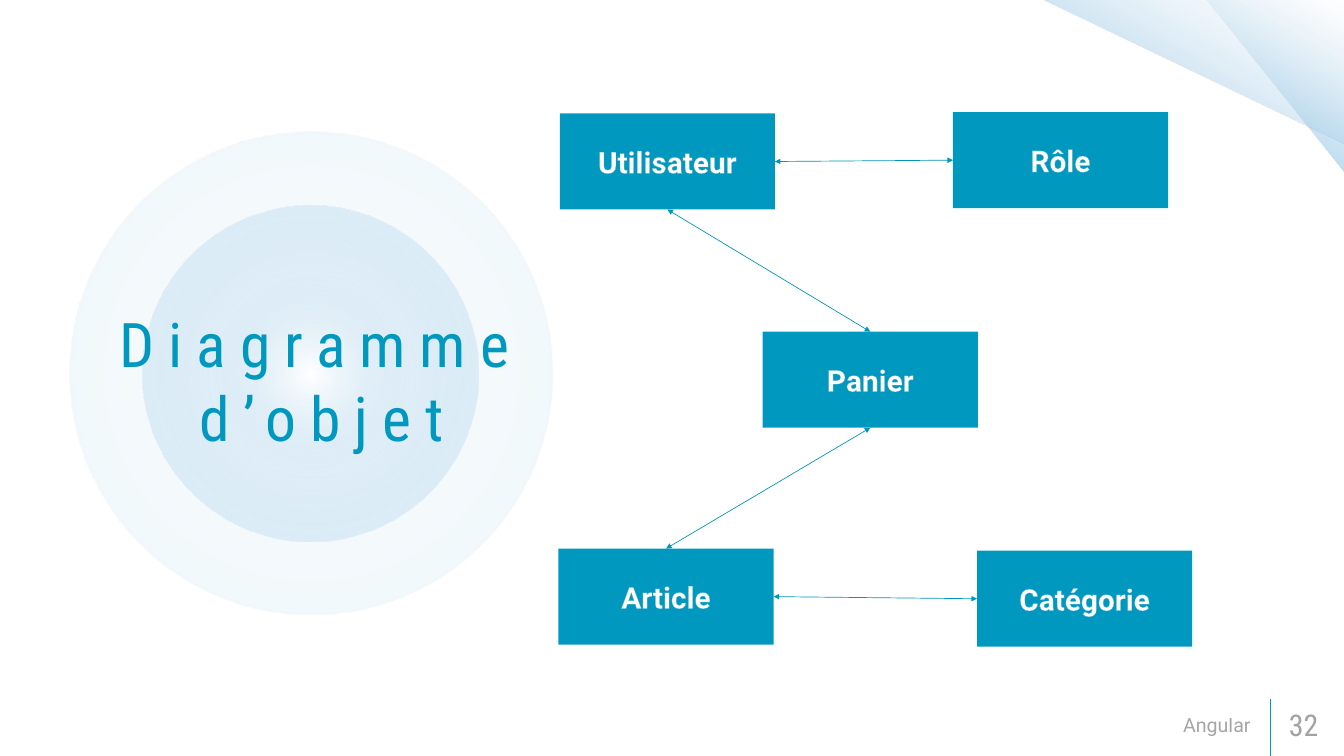
from lxml import etree
from pptx import Presentation
from pptx.dml.color import RGBColor
from pptx.enum.shapes import MSO_CONNECTOR, MSO_SHAPE
from pptx.enum.text import MSO_ANCHOR, MSO_AUTO_SIZE, PP_ALIGN
from pptx.oxml import parse_xml
from pptx.oxml.ns import nsdecls, qn
from pptx.util import Cm, Pt

STRAIGHT = MSO_CONNECTOR.STRAIGHT
RECTANGLE, OVAL = MSO_SHAPE.RECTANGLE, MSO_SHAPE.OVAL
RIGHT_TRIANGLE = MSO_SHAPE.RIGHT_TRIANGLE
MIDDLE, NO_AUTOFIT = MSO_ANCHOR.MIDDLE, MSO_AUTO_SIZE.NONE
LEFT, CENTER, RIGHT = PP_ALIGN.LEFT, PP_ALIGN.CENTER, PP_ALIGN.RIGHT
TOP_SIDE, LEFT_SIDE, BOTTOM_SIDE, RIGHT_SIDE = range(4)

BLUE, LINK_BLUE = "0098BF", "0095BB"
LINEAR = '<a:lin ang="7200000" scaled="0"/>'
RADIAL = ('<a:path path="circle"><a:fillToRect l="50000" t="50000" '
          'r="50000" b="50000"/></a:path>')
# Gradient stops: position %, colour, opacity %
CORNER_STOPS = [(0, "8FC8E8", 100), (50, "A4CEE9", 44), (100, "DEEDF6", 0)]
OUTER_STOPS = [(0, "FFFFFF", 100), (50, "BCDBEF", 14), (100, "8FC8E8", 15)]
INNER_STOPS = [(0, "FFFFFF", 100), (42, "BCDBEF", 24), (100, "8FC8E8", 38)]

NODE_WIDTH, NODE_HEIGHT = 8.13, 3.63
NODES = {  # left and top within the diagram
    "Utilisateur": (0.05, 0.05),
    "Rôle": (14.91, 0),
    "Panier": (7.72, 8.3),
    "Article": (0, 16.5),
    "Catégorie": (15.82, 16.58),
}
LINKS = [
    ("Utilisateur", RIGHT_SIDE, "Rôle", LEFT_SIDE),
    ("Utilisateur", BOTTOM_SIDE, "Panier", TOP_SIDE),
    ("Panier", BOTTOM_SIDE, "Article", TOP_SIDE),
    ("Article", RIGHT_SIDE, "Catégorie", LEFT_SIDE),
]


def color(value):
    return RGBColor.from_string(value)


def write(shape, text, font, size, fill, align):
    """Set one vertically centred paragraph and return its run."""
    frame = shape.text_frame
    frame.text = text
    frame.word_wrap = True
    frame.auto_size = NO_AUTOFIT
    frame.vertical_anchor = MIDDLE
    paragraph = frame.paragraphs[0]
    paragraph.alignment = align
    run = paragraph.runs[0]
    run.font.name = font
    run.font.size = Pt(size)
    run.font.color.rgb = color(fill)
    return run


def add_plain_shape(slide, kind, left, top, width, height):
    shape = slide.shapes.add_shape(kind, Cm(left), Cm(top), Cm(width), Cm(height))
    shape.shadow.inherit = False
    shape.line.fill.background()
    return shape


def add_gradient_shape(slide, kind, box, stops, direction):
    shape = add_plain_shape(slide, kind, *box)
    stop_xml = "".join(
        f'<a:gs pos="{position * 1000}"><a:srgbClr val="{value}">'
        f'<a:alpha val="{opacity * 1000}"/></a:srgbClr></a:gs>'
        for position, value, opacity in stops)
    shape.element.spPr.find(qn("a:prstGeom")).addnext(parse_xml(
        f'<a:gradFill {nsdecls("a")} rotWithShape="1"><a:gsLst>{stop_xml}</a:gsLst>'
        f'{direction}</a:gradFill>'))
    return shape


def add_line(slide, start, end, value, width):
    line = slide.shapes.add_connector(STRAIGHT, *(Cm(n) for n in (*start, *end)))
    line.line.color.rgb = color(value)
    line.line.width = Pt(width)
    etree.SubElement(line.element.spPr, qn("a:effectLst"))
    return line


def add_corner(slide, right):
    """Two translucent triangles meeting at the top right corner."""
    for width, height in ((5.18, 6.53), (11.38, 5.41)):
        box = (right - width, 0, width, height)
        triangle = add_gradient_shape(slide, RIGHT_TRIANGLE, box, CORNER_STOPS, LINEAR)
        triangle.rotation = 180


def add_title_disc(slide, center_x, center_y):
    """Two concentric discs with the title over them."""
    for diameter, stops in ((18.26, OUTER_STOPS), (12.7, INNER_STOPS)):
        box = (center_x - diameter / 2, center_y - diameter / 2, diameter, diameter)
        add_gradient_shape(slide, OVAL, box, stops, RADIAL)

    title = slide.shapes.title
    title.left, title.top = Cm(center_x - 8.6), Cm(center_y - 3.44)
    title.width, title.height = Cm(18.01), Cm(7.37)
    run = write(title, "Diagramme d’objet", "Roboto Condensed", 66, BLUE, CENTER)
    run.font._element.set("spc", "1500")
    title.element.getparent().append(title.element)  # in front of the discs


def add_footer(slide, left, top, width, height):
    divider = left + 21.89
    add_line(slide, (divider, top + height), (divider, top), BLUE, 1)
    labels = [
        (0, 21.59, "Angular", "Roboto", 21, "808080", RIGHT),
        (22.12, width - 22.12, "32", "Roboto Condensed", 32, "A2A2A2", LEFT),
    ]
    for offset, label_width, text, font, size, fill, align in labels:
        box = slide.shapes.add_textbox(
            Cm(left + offset), Cm(top + 0.23), Cm(label_width), Cm(1.52))
        run = write(box, text, font, size, fill, align)
        frame = box.text_frame
        frame.margin_left = frame.margin_right = Cm(0.46)
        frame.margin_top = frame.margin_bottom = Cm(0.23)
        if text == "Angular":
            tint = run.font._element.find(".//" + qn("a:srgbClr"))
            etree.SubElement(tint, qn("a:alpha"), val="70000")


def add_node(slide, left, top, text):
    node = add_plain_shape(slide, RECTANGLE, left, top, NODE_WIDTH, NODE_HEIGHT)
    node.fill.solid()
    node.fill.fore_color.rgb = color(BLUE)
    run = write(node, text, "Roboto", 32, "FFFFFF", CENTER)
    run.font.bold = True
    run.font._element.insert(0, parse_xml(
        f'<a:ln {nsdecls("a")} w="10160"><a:solidFill><a:srgbClr val="4BACC6"/>'
        '</a:solidFill></a:ln>'))
    return node


def add_diagram(slide, left, top):
    nodes = {name: add_node(slide, left + x, top + y, name)
             for name, (x, y) in NODES.items()}
    for source, source_side, target, target_side in LINKS:
        link = add_line(slide, (0, 0), (0, 0), LINK_BLUE, 0.75)
        link.begin_connect(nodes[source], source_side)
        link.end_connect(nodes[target], target_side)
        outline = link.line._get_or_add_ln()
        for tag in ("a:headEnd", "a:tailEnd"):
            etree.SubElement(outline, qn(tag), type="triangle")


def main():
    presentation = Presentation()
    presentation.slide_width, presentation.slide_height = Cm(50.8), Cm(28.58)
    slide = presentation.slides.add_slide(presentation.slide_layouts[5])
    add_corner(slide, 50.8)
    add_title_disc(slide, 11.75, 14.11)
    add_footer(slide, 26.14, 26.42, 24.64, 2.16)
    add_diagram(slide, 21.11, 4.24)
    presentation.save("out.pptx")


if __name__ == "__main__":
    main()
